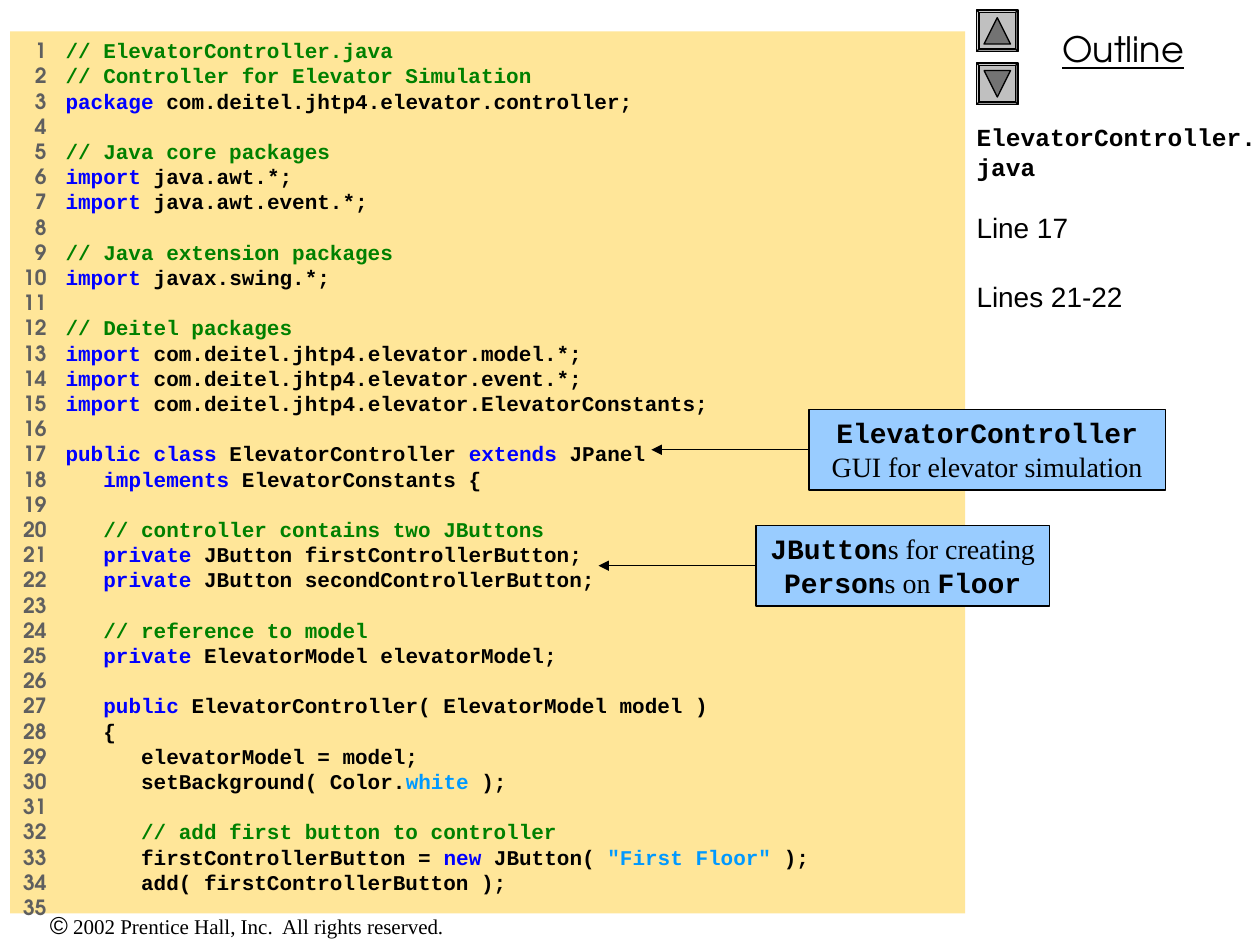
from dataclasses import dataclass

from lxml.etree import SubElement
from pptx import Presentation
from pptx.dml.color import RGBColor
from pptx.enum.shapes import MSO_CONNECTOR as Connector, MSO_SHAPE as Shape
from pptx.enum.text import MSO_ANCHOR as Anchor, PP_ALIGN as Align
from pptx.oxml.ns import qn
from pptx.util import Inches, Pt


@dataclass(frozen=True)
class Theme:
    """Colours, fonts and type sizes of the slide."""
    black: str = "000000"
    paper: str = "FFE699"
    callout: str = "99CCFF"
    button: str = "C0C0C0"
    arrow: str = "737373"
    number: str = "5F5F5F"
    comment: str = "008000"
    keyword: str = "0000FF"
    literal: str = "0099FF"
    mono: str = "Courier New"
    sans: str = "Arial"
    serif: str = "Times New Roman"
    display: str = "TeX Gyre Adventor"
    small: int = 12
    medium: int = 14
    large: int = 16
    heading: int = 20


THEME = Theme()
KEYWORDS = ("package", "import", "public", "class", "extends", "implements", "private", "new")
LITERALS = ("white", '"First Floor"')
CODE = (
    "// ElevatorController.java",
    "// Controller for Elevator Simulation",
    "package com.deitel.jhtp4.elevator.controller;",
    "",
    "// Java core packages",
    "import java.awt.*;",
    "import java.awt.event.*;",
    "",
    "// Java extension packages",
    "import javax.swing.*;",
    "",
    "// Deitel packages",
    "import com.deitel.jhtp4.elevator.model.*;",
    "import com.deitel.jhtp4.elevator.event.*;",
    "import com.deitel.jhtp4.elevator.ElevatorConstants;",
    "",
    "public class ElevatorController extends JPanel",
    "   implements ElevatorConstants {",
    "",
    "   // controller contains two JButtons",
    "   private JButton firstControllerButton;",
    "   private JButton secondControllerButton;",
    "",
    "   // reference to model",
    "   private ElevatorModel elevatorModel;",
    "",
    "   public ElevatorController( ElevatorModel model )",
    "   {",
    "      elevatorModel = model;",
    "      setBackground( Color.white );",
    "",
    "      // add first button to controller",
    '      firstControllerButton = new JButton( "First Floor" );',
    "      add( firstControllerButton );",
    "",
)


def add_run(paragraph, text, color=THEME.black, **formats):
    """Append a run and apply its font formats."""
    run = paragraph.add_run()
    run.text = text
    run.font.color.rgb = RGBColor.from_string(color)
    for name, value in formats.items():
        setattr(run.font, name, value)


def prepare_frame(shape, sides=0.1):
    """Set wrapping, anchor and margins, and return the text frame."""
    frame = shape.text_frame
    settings = {"word_wrap": True, "vertical_anchor": Anchor.TOP,
                "margin_left": Inches(sides), "margin_right": Inches(sides),
                "margin_top": Inches(0.05), "margin_bottom": Inches(0.05)}
    for name, value in settings.items():
        setattr(frame, name, value)
    return frame


def add_box(slide, kind, box, fill, outlined=True):
    """Add a filled preset shape without shadow."""
    shape = slide.shapes.add_shape(kind, *map(Inches, box))
    shape.shadow.inherit = False
    shape.fill.solid()
    shape.fill.fore_color.rgb = RGBColor.from_string(fill)
    if outlined:
        shape.line.color.rgb = RGBColor.from_string(THEME.black)
        shape.line.width = Pt(0.75)
    else:
        shape.line.fill.background()
    return shape


def add_label(slide, box, runs):
    """Add a centred one-line text box from text and format pairs."""
    frame = prepare_frame(slide.shapes.add_textbox(*map(Inches, box)))
    frame.paragraphs[0].alignment = Align.CENTER
    for text, formats in runs:
        add_run(frame.paragraphs[0], text, **formats)


def color_code(line):
    """Split a code line into text and colour pairs."""
    if line.lstrip().startswith("//"):
        return [(line, THEME.comment)]
    colors = {**dict.fromkeys(KEYWORDS, THEME.keyword), **dict.fromkeys(LITERALS, THEME.literal)}
    for word in colors:
        line = line.replace(word, f"|{word}|")
    return [(part, colors.get(part, THEME.black)) for part in line.split("|") if part]


def add_listing(slide, box):
    """Add the numbered code listing on its coloured panel."""
    frame = prepare_frame(add_box(slide, Shape.RECTANGLE, box, THEME.paper, outlined=False), 0.05)
    for number, line in enumerate(CODE, 1):
        paragraph = frame.paragraphs[0] if number == 1 else frame.add_paragraph()
        paragraph.alignment = Align.LEFT
        tabs = SubElement(paragraph._p.get_or_add_pPr(), qn("a:tabLst"))
        for position, side in ((0.24, "r"), (0.39, "l")):
            SubElement(tabs, qn("a:tab"), pos=str(Inches(position)), algn=side)
        style = {"size": Pt(THEME.small), "bold": True}
        add_run(paragraph, f"\t{number}\t" if line else f"\t{number}",
                THEME.number, name=THEME.display, **style)
        for text, color in color_code(line):
            add_run(paragraph, text, color, name=THEME.mono, **style)


def add_button(slide, box, rotation):
    """Add a bevelled button with a triangle inside it."""
    left, top, width, height = box
    inset = 0.06
    bevel = add_box(slide, Shape.BEVEL, box, THEME.button)
    bevel.adjustments[0] = 0.06
    triangle_box = (left + inset, top + inset, width - 2 * inset, height - 2 * inset)
    add_box(slide, Shape.ISOSCELES_TRIANGLE, triangle_box, THEME.arrow).rotation = rotation


def add_outline(slide, box):
    """Add the outline notes beside the listing."""
    frame = prepare_frame(slide.shapes.add_textbox(*map(Inches, box)), 0)
    mono = {"name": THEME.mono, "size": Pt(THEME.medium), "bold": True}
    sans = {"name": THEME.sans, "size": Pt(THEME.large)}
    notes = (("ElevatorController.java", mono, 0), ("Line 17", sans, 17), ("Lines 21-22", sans, 20))
    for index, (text, formats, space) in enumerate(notes):
        paragraph = frame.add_paragraph() if index else frame.paragraphs[0]
        paragraph.space_before = Pt(space)
        add_run(paragraph, text, **formats)


def add_callout(slide, box, parts):
    """Add a callout of alternating code and prose, with an arrow to its left."""
    left, top, _, height = box
    shape = add_box(slide, Shape.RECTANGLE, box, THEME.callout)
    paragraph = prepare_frame(shape, 0.08).paragraphs[0]
    paragraph.alignment = Align.CENTER
    for index, text in enumerate(parts):
        is_code = index % 2 == 0
        add_run(paragraph, text, name=THEME.mono if is_code else THEME.serif,
                size=Pt(THEME.large), bold=is_code)
    middle = Inches(top + height / 2)
    arrow = slide.shapes.add_connector(Connector.STRAIGHT, Inches(left), middle,
                                       Inches(left - 1.25), middle)
    arrow.begin_connect(shape, 1)
    arrow.line.color.rgb = RGBColor.from_string(THEME.black)
    arrow.line.width = Pt(0.75)
    SubElement(arrow.line._get_or_add_ln(), qn("a:tailEnd"), type="triangle")
    SubElement(arrow._element.spPr, qn("a:effectLst"))


def main():
    """Build and save the slide."""
    presentation = Presentation()
    presentation.slide_width, presentation.slide_height = Inches(10), Inches(7.5)
    slide = presentation.slides.add_slide(presentation.slide_layouts[6])
    add_label(slide, (0, 7.17, 3.92, 0.34), (
        ("©", {"name": THEME.sans, "size": Pt(THEME.medium)}),
        (" 2002 Prentice Hall, Inc.  All rights reserved.",
         {"name": THEME.serif, "size": Pt(THEME.small)})))
    add_label(slide, (7.83, 0.17, 2.17, 0.44), (
        ("Outline", {"name": THEME.display, "size": Pt(THEME.heading), "underline": True}),))
    for top, rotation in ((0.08, 0), (0.5, 180)):
        add_button(slide, (7.75, top, 0.33, 0.33), rotation)
    add_listing(slide, (0.08, 0.25, 7.58, 7))
    add_outline(slide, (7.75, 0.92, 2.25, 6.58))
    add_callout(slide, (6.42, 3.25, 2.83, 0.64),
                ("ElevatorController", " GUI for elevator simulation"))
    add_callout(slide, (6, 4.17, 2.33, 0.64),
                ("JButton", "s for creating ", "Person", "s on ", "Floor"))
    presentation.save("out.pptx")


if __name__ == "__main__":
    main()
